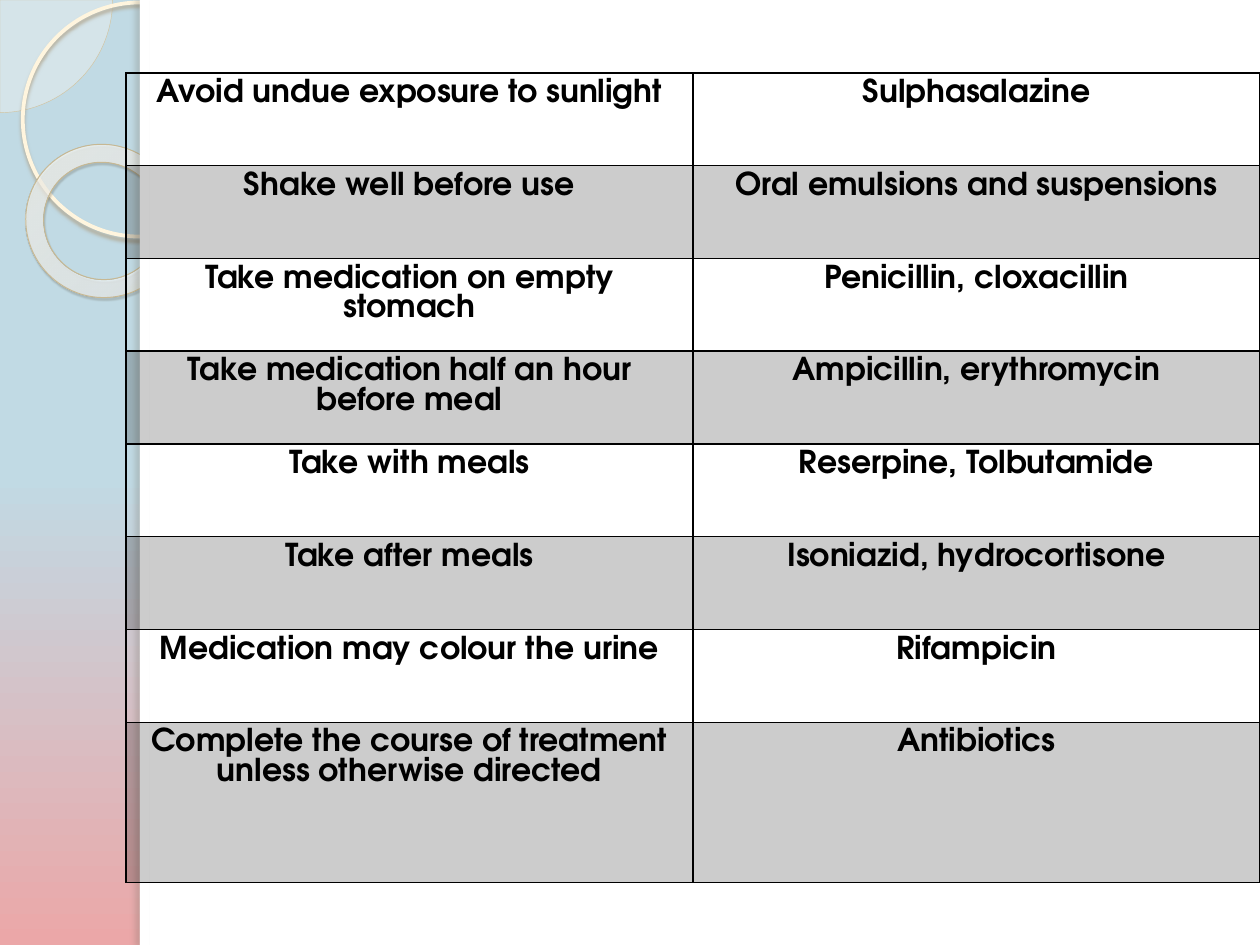
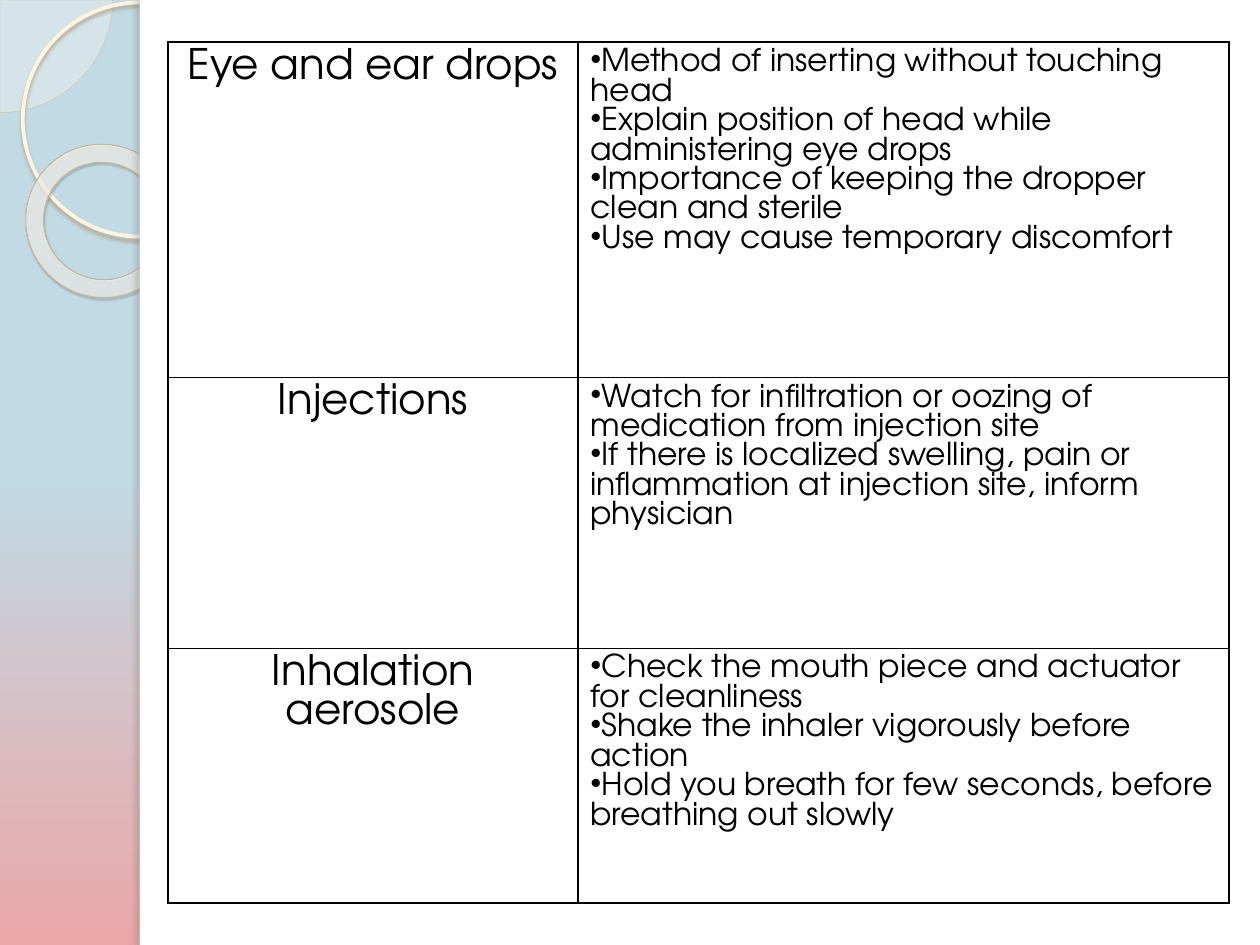
from dataclasses import dataclass

from lxml.etree import SubElement
from pptx import Presentation
from pptx.dml.color import RGBColor
from pptx.enum.shapes import MSO_SHAPE
from pptx.enum.text import PP_ALIGN
from pptx.oxml import parse_xml
from pptx.oxml.ns import nsdecls, qn
from pptx.util import Cm, Pt


@dataclass(frozen=True)
class Theme:
    font: str = "TeX Gyre Adventor"
    ink: str = "000000"
    paper: str = "FFFFFF"
    backdrop: tuple = ((50, "C1DAE4", 100), (100, "EBA7A8", 100), (100, "E1ECF1", 100))
    quarter_fill: str = "FEFAF4"
    quarter_line: str = "D3C39F"
    circle_line: str = "FFF5DE"
    ring_line: str = "C7B893"
    ring_fill: tuple = ((0, "FFFCF6", 70), (70, "FFFEFB", 55), (100, "F0D28E", 60))
    heading_size: int = 24
    body_size: int = 18
    border_width: int = 1
    stripe_alpha: int = 20


theme = Theme()


def gradient(stops, direction):
    """Return a gradient fill of (position, colour, opacity) stops, in percent."""
    marks = "".join(
        f'<a:gs pos="{position * 1000}"><a:srgbClr val="{colour}">'
        f'<a:alpha val="{opacity * 1000}"/></a:srgbClr></a:gs>'
        for position, colour, opacity in stops)
    return parse_xml(f'<a:gradFill {nsdecls("a")} rotWithShape="1">'
                     f"<a:gsLst>{marks}</a:gsLst>{direction}</a:gradFill>")


def write_text(cell, lines, size=theme.body_size, bold=False,
               align=PP_ALIGN.LEFT, bullet=None):
    """Fill a table cell with one paragraph per line."""
    frame = cell.text_frame
    for number, line in enumerate(lines):
        paragraph = frame.add_paragraph() if number else frame.paragraphs[0]
        paragraph.alignment = align
        if bullet:
            SubElement(paragraph._p.get_or_add_pPr(), qn("a:buChar"), char=bullet)
        run = paragraph.add_run()
        run.text = line
        run.font.name = theme.font
        run.font.size = Pt(size)
        run.font.bold = bold
        run.font.color.rgb = RGBColor.from_string(theme.ink)


prs = Presentation()
prs.slide_width, prs.slide_height = Cm(25.4), Cm(19.05)
blank_layout = prs.slide_layouts[6]
advice_slide = prs.slides.add_slide(blank_layout)
dosage_slide = prs.slides.add_slide(blank_layout)

# Shared background
master = prs.slide_master
master.background.fill.solid()
backdrop = master.element.find(".//" + qn("p:bgPr"))
backdrop.replace(backdrop[0], gradient(theme.backdrop, '<a:lin ang="5400000" scaled="0"/>'))

# Shared side band: quarter disc, circle, ring, white page and its shaded edge
# preset, place, fill, opacity, line, line width, shadow (colour, opacity, blur, distance, angle)
band_parts = [
    (MSO_SHAPE.PIE, (-2.27, -2.27, 4.54, 4.54),
     theme.quarter_fill, 33, theme.quarter_line, 0.25, None),
    (MSO_SHAPE.OVAL, (0.46, 0.05, 4.72, 4.72),
     None, 100, theme.circle_line, 2.15, ("B0A68F", 85, 2, 2, 90)),
    (MSO_SHAPE.DONUT, (0.51, 2.92, 3.12, 3.07),
     theme.ring_fill, 100, theme.ring_line, 0.58, ("5A5444", 35, 1, 1.2, 75)),
    (MSO_SHAPE.RECTANGLE, (2.82, 0, 22.58, 19.05), theme.paper, 100, None, 0, None),
    (MSO_SHAPE.RECTANGLE, (2.82, 0, 0.2, 19.05),
     theme.paper, 100, None, 0, ("736F63", 25, 3, 3, 180)),
]
for preset, place, fill, opacity, line, width, shadow in band_parts:
    part = advice_slide.shapes.add_shape(preset, *map(Cm, place))
    properties = part.element.spPr
    part.shadow.inherit = False
    if preset == MSO_SHAPE.PIE:
        part.adjustments[0], part.adjustments[1] = 0, 54
    if preset == MSO_SHAPE.DONUT:
        part.adjustments[0] = 0.118
        part.rotation = 38.6
        focus = ('<a:path path="circle"><a:fillToRect l="-408000" t="-50000" '
                 'r="508000" b="150000"/></a:path>')
        properties.find(qn("a:prstGeom")).addnext(gradient(fill, focus))
    elif fill:
        part.fill.solid()
        part.fill.fore_color.rgb = RGBColor.from_string(fill)
        SubElement(properties.find(".//" + qn("a:srgbClr")), qn("a:alpha"),
                   val=str(opacity * 1000))
    else:
        part.fill.background()
    if line:
        part.line.color.rgb = RGBColor.from_string(line)
        part.line.width = Pt(width)
    else:
        part.line.fill.background()
    if shadow:
        tint, strength, blur, distance, angle = shadow
        cast = SubElement(properties.find(qn("a:effectLst")), qn("a:outerShdw"),
                          blurRad=str(Pt(blur)), dist=str(Pt(distance)),
                          dir=str(angle * 60000), algn="tl", rotWithShape="0")
        shade = SubElement(cast, qn("a:srgbClr"), val=tint)
        SubElement(shade, qn("a:alpha"), val=str(strength * 1000))
    master.shapes.element.append(part.element)

# Advice and the medicines it goes with
advice = [
    ("Avoid undue exposure to sunlight", "Sulphasalazine"),
    ("Shake well before use", "Oral emulsions and suspensions"),
    ("Take medication on empty stomach", "Penicillin, cloxacillin"),
    ("Take medication half an hour before meal", "Ampicillin, erythromycin"),
    ("Take with meals", "Reserpine, Tolbutamide"),
    ("Take after meals", "Isoniazid, hydrocortisone"),
    ("Medication may colour the urine", "Rifampicin"),
    ("Complete the course of treatment unless otherwise directed", "Antibiotics"),
]
advice_rows = [([instruction], [medicine]) for instruction, medicine in advice]

# Dosage forms and how to use them
dosage_rows = [
    (["Eye and ear drops"],
     ["Method of inserting without touching head",
      "Explain position of head while administering eye drops",
      "Importance of keeping the dropper clean and sterile",
      "Use may cause temporary discomfort"]),
    (["Injections"],
     ["Watch for infiltration or oozing of medication from injection site",
      "If there is localized swelling, pain or inflammation at injection site, "
      "inform physician"]),
    (["Inhalation aerosole"],
     ["Check the mouth piece and actuator for cleanliness",
      "Shake the inhaler vigorously before action",
      "Hold you breath for few seconds, before breathing out slowly"]),
]

# Tables: slide, rows, left, top, column widths, row heights, striped, column formats
label_format = dict(bold=True, align=PP_ALIGN.CENTER)
heading_format = dict(size=theme.heading_size, align=PP_ALIGN.CENTER)
tables = [
    (advice_slide, advice_rows, 2.54, 1.47, [11.43] * 2, [1.87] * 7 + [3.23],
     True, (label_format, label_format)),
    (dosage_slide, dosage_rows, 3.39, 0.85, [8.26, 13.13], [6.76, 5.46, 5.13],
     False, (heading_format, dict(bullet="•"))),
]
for slide, rows, left, top, widths, heights, striped, formats in tables:
    grid = slide.shapes.add_table(len(rows), len(widths), Cm(left), Cm(top),
                                  Cm(sum(widths)), Cm(sum(heights))).table
    grid.first_row = grid.horz_banding = False
    for column, width in zip(grid.columns, widths):
        column.width = Cm(width)
    for row, height in zip(grid.rows, heights):
        row.height = Cm(height)
    for row_number, entries in enumerate(rows):
        for column_number, lines in enumerate(entries):
            cell = grid.cell(row_number, column_number)
            write_text(cell, lines, **formats[column_number])
            cell_properties = cell._tc.get_or_add_tcPr()
            for side in ("lnL", "lnR", "lnT", "lnB"):
                border = SubElement(cell_properties, qn("a:" + side),
                                    w=str(Pt(theme.border_width)))
                border_fill = SubElement(border, qn("a:solidFill"))
                SubElement(border_fill, qn("a:srgbClr"), val=theme.ink)
            if striped and row_number % 2:
                cell.fill.solid()
                cell.fill.fore_color.rgb = RGBColor.from_string(theme.ink)
                stripe = cell_properties.find(qn("a:solidFill") + "/" + qn("a:srgbClr"))
                SubElement(stripe, qn("a:alpha"), val=str(theme.stripe_alpha * 1000))
            else:
                cell.fill.background()

prs.save("out.pptx")
